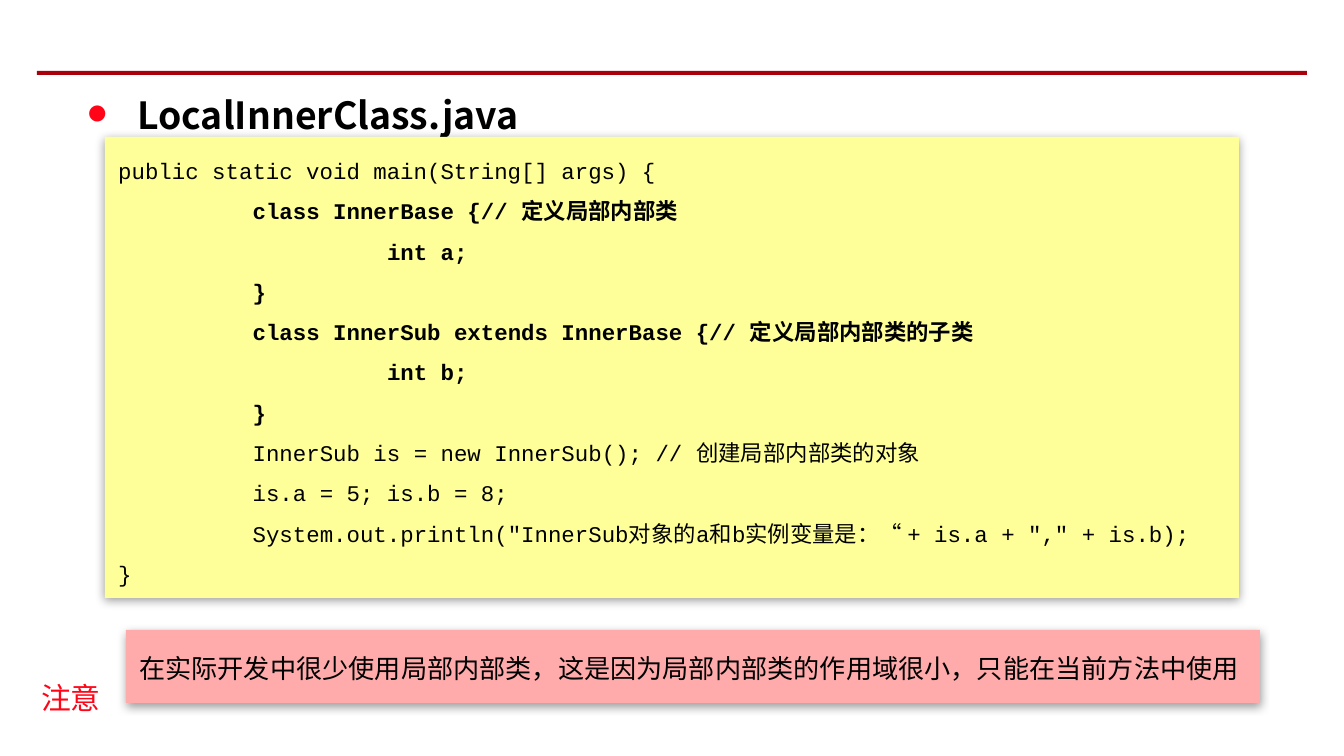
import pptx
import pptx.dml.color
import pptx.enum.shapes
import pptx.enum.text
import pptx.oxml
import pptx.oxml.ns
import pptx.util

PX = 914400 / 134.4
SANS = "Noto Sans CJK SC"
MONO = "Courier New"
BLACK = "000000"
RED = "FF0517"
NAMESPACE = pptx.oxml.ns.nsdecls("a")

CODE_LINES = [
    ("public static void main(String[] args) {", False),
    ("\tclass InnerBase {// 定义局部内部类", True),
    ("\t\tint a;", True),
    ("\t}", True),
    ("\tclass InnerSub extends InnerBase {// 定义局部内部类的子类", True),
    ("\t\tint b;", True),
    ("\t}", True),
    ("\tInnerSub is = new InnerSub(); // 创建局部内部类的对象", False),
    ("\tis.a = 5; is.b = 8;", False),
    ('\tSystem.out.println("InnerSub对象的a和b实例变量是：“ + is.a + "," + is.b);', False),
    ("}", False),
]


def px(length):
    return round(length * PX)


def color(value):
    return pptx.dml.color.RGBColor.from_string(value)


def set_all(target, values):
    for name, value in values.items():
        setattr(target, name, value)


def add_panel(page, place, fill):
    panel = page.shapes.add_shape(
        pptx.enum.shapes.MSO_SHAPE.RECTANGLE, *map(px, place))
    panel.shadow.inherit = False
    panel.fill.solid()
    panel.fill.fore_color.rgb = color(fill)
    panel.line.fill.background()
    return panel


def add_shadow(panel):
    effects = panel._element.spPr.find(pptx.oxml.ns.qn("a:effectLst"))
    effects.append(pptx.oxml.parse_xml(
        f'<a:outerShdw {NAMESPACE} blurRad="63500" dist="20320" dir="5400000" '
        'rotWithShape="0"><a:srgbClr val="000000"><a:alpha val="38000"/>'
        '</a:srgbClr></a:outerShdw>'))


def add_text_box(page, place):
    return page.shapes.add_textbox(*map(px, place))


def write(box, lines, font, size, ink=BLACK, spacing=None, **frame_values):
    frame = box.text_frame
    set_all(frame, {
        "word_wrap": True,
        "vertical_anchor": pptx.enum.text.MSO_ANCHOR.TOP,
        **frame_values,
    })
    for index, (text, bold) in enumerate(lines):
        para = frame.add_paragraph() if index else frame.paragraphs[0]
        set_all(para, {
            "alignment": pptx.enum.text.PP_ALIGN.LEFT,
            "line_spacing": pptx.util.Pt(spacing) if spacing else None,
        })
        span = para.add_run()
        span.text = text
        set_all(span.font, {
            "name": font, "size": pptx.util.Pt(size), "bold": bold})
        span.font.color.rgb = color(ink)
        span._r.get_or_add_rPr().append(pptx.oxml.parse_xml(
            f'<a:ea {NAMESPACE} typeface="{SANS}"/>'))


def add_bullet(para, indent):
    properties = para._p.get_or_add_pPr()
    properties.set("marL", str(px(indent)))
    properties.set("indent", str(-px(indent)))
    for bullet in (
        f'<a:buClr {NAMESPACE}><a:srgbClr val="{RED}"/></a:buClr>',
        f'<a:buFont {NAMESPACE} typeface="{MONO}"/>',
        f'<a:buChar {NAMESPACE} char="●"/>',
    ):
        properties.append(pptx.oxml.parse_xml(bullet))


def set_tab_stops(box, inches):
    stops = "".join(
        f'<a:tab pos="{pptx.util.Inches(stop)}" algn="l"/>' for stop in inches)
    for para in box.text_frame.paragraphs:
        para._p.get_or_add_pPr().append(
            pptx.oxml.parse_xml(f"<a:tabLst {NAMESPACE}>{stops}</a:tabLst>"))


def main():
    deck = pptx.Presentation()
    set_all(deck, {"slide_width": px(1344), "slide_height": px(756)})
    page = deck.slides.add_slide(deck.slide_layouts[6])

    add_panel(page, (37, 71, 1270, 4), "AA000B")

    heading = add_text_box(page, (73, 63, 1207, 347))
    write(heading, [("LocalInnerClass.java", True)], SANS, 20, spacing=36)
    add_bullet(heading.text_frame.paragraphs[0], 51)

    advice = add_panel(page, (126, 630, 1134, 73), "FFAAAB")
    add_shadow(advice)
    write(advice, [("在实际开发中很少使用局部内部类，这是因为局部内部类的作用域很小，只能在当前方法中使用", False)],
          SANS, 14, spacing=25.5)

    code = add_panel(page, (105, 137, 1134, 461), "FFFF99")
    add_shadow(code)
    write(code, CODE_LINES, MONO, 12, spacing=21.6)
    set_tab_stops(code, (1, 2))

    label = add_text_box(page, (28, 673, 87, 50))
    write(label, [("注意", False)], SANS, 16, RED, word_wrap=False,
          vertical_anchor=pptx.enum.text.MSO_ANCHOR.MIDDLE)

    deck.save("out.pptx")


if __name__ == "__main__":
    main()
